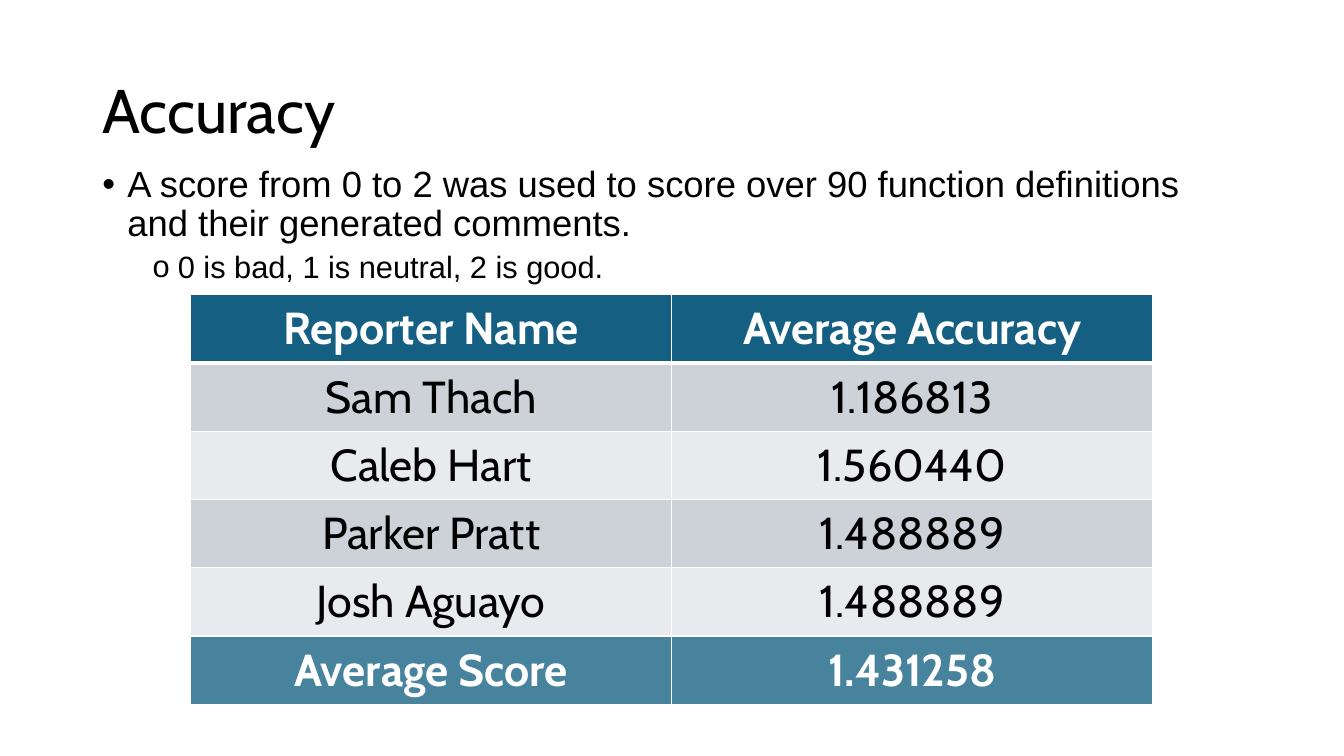
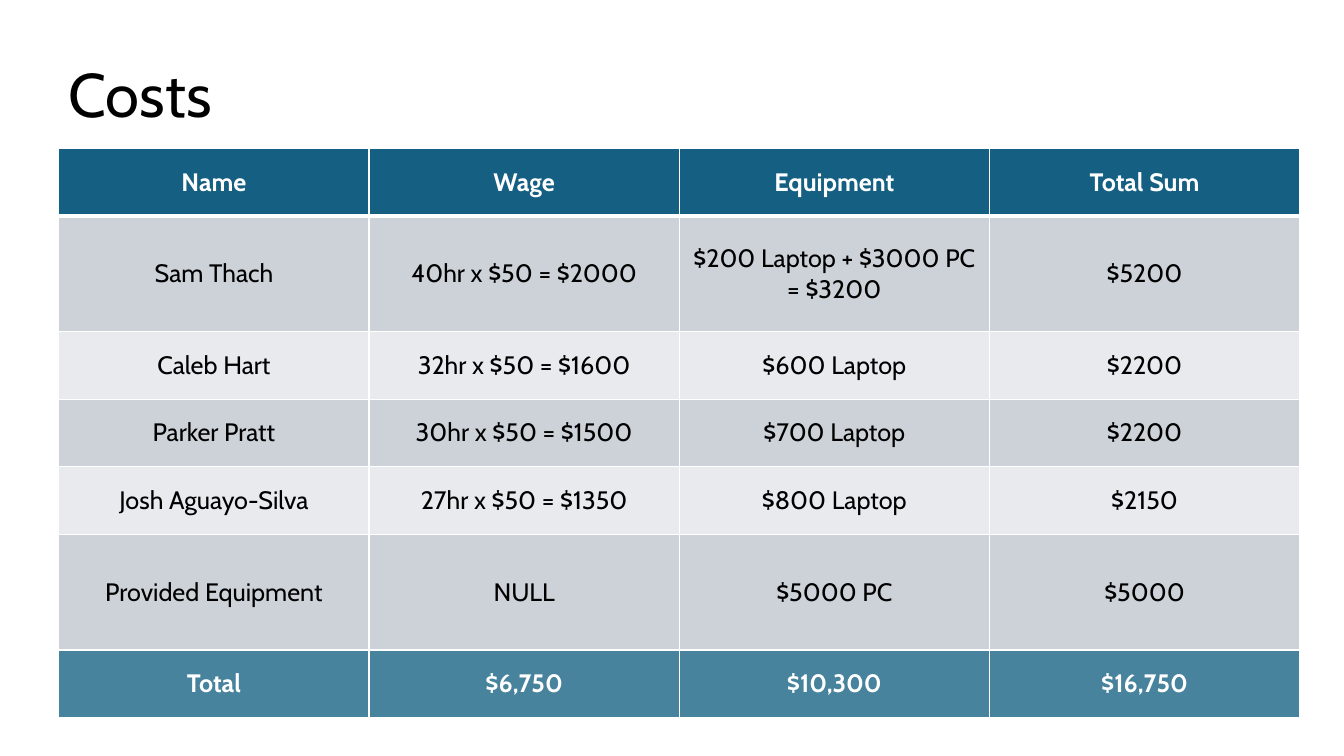
from lxml.etree import SubElement
from pptx import Presentation
from pptx.dml.color import RGBColor
from pptx.enum.text import MSO_ANCHOR, PP_ALIGN
from pptx.oxml.ns import qn
from pptx.util import Pt

# Shared style
BLACK = RGBColor(0x00, 0x00, 0x00)
WHITE = RGBColor(0xFF, 0xFF, 0xFF)
HEADER_BLUE = RGBColor(0x15, 0x60, 0x82)
TOTAL_BLUE = RGBColor(0x48, 0x83, 0x9D)
BANDS = (RGBColor(0xCC, 0xD2, 0xD8), RGBColor(0xE8, 0xEA, 0xED))
HEADING_FONT = "Cabin"
BODY_FONT = "Arial"
TITLE_ONLY = 5

# Content
ACCURACY_POINTS = [
    (0, "A score from 0 to 2 was used to score over 90 function definitions "
        "and their generated comments."),
    (1, "0 is bad, 1 is neutral, 2 is good."),
]
ACCURACY_ROWS = [
    ("Reporter Name", "Average Accuracy"),
    ("Sam Thach", "1.186813"),
    ("Caleb Hart", "1.560440"),
    ("Parker Pratt", "1.488889"),
    ("Josh Aguayo", "1.488889"),
    ("Average Score", "1.431258"),
]
COST_ROWS = [
    ("Name", "Wage", "Equipment", "Total Sum"),
    ("Sam Thach", "40hr x $50 = $2000", "$200 Laptop + $3000 PC = $3200", "$5200"),
    ("Caleb Hart", "32hr x $50 = $1600", "$600 Laptop", "$2200"),
    ("Parker Pratt", "30hr x $50 = $1500", "$700 Laptop", "$2200"),
    ("Josh Aguayo-Silva", "27hr x $50 = $1350", "$800 Laptop", "$2150"),
    ("Provided Equipment", "NULL", "$5000 PC", "$5000"),
    ("Total", "$6,750", "$10,300", "$16,750"),
]


def format_runs(paragraph, font_name, size, color, bold=False):
    for run in paragraph.runs:
        run.font.name = font_name
        run.font.size = Pt(size)
        run.font.bold = bold
        run.font.color.rgb = color


def add_titled_slide(deck, text, left, top):
    slide = deck.slides.add_slide(deck.slide_layouts[TITLE_ONLY])
    title = slide.shapes.title
    title.left, title.top, title.width, title.height = Pt(left), Pt(top), Pt(828), Pt(104.4)
    title.text_frame.text = text
    title.text_frame.vertical_anchor = MSO_ANCHOR.MIDDLE
    heading = title.text_frame.paragraphs[0]
    heading.alignment = PP_ALIGN.LEFT
    heading.line_spacing = 0.9
    format_runs(heading, HEADING_FONT, 44, BLACK)
    return slide


def add_bullets(slide, points, left, top, width, height):
    frame = slide.shapes.add_textbox(Pt(left), Pt(top), Pt(width), Pt(height)).text_frame
    frame.word_wrap = True
    frame.text = "\n".join(text for _, text in points)
    for paragraph, (level, _) in zip(frame.paragraphs, points):
        paragraph.level = level
        paragraph.line_spacing = 0.9
        paragraph.space_before = Pt((10, 5)[level])
        format_runs(paragraph, BODY_FONT, (26, 22)[level], BLACK)
        properties = paragraph._p.get_or_add_pPr()
        properties.set("marL", str(Pt(18 + 36 * level)))
        properties.set("indent", str(Pt(-18)))
        SubElement(properties, qn("a:buFont"), typeface=BODY_FONT)
        SubElement(properties, qn("a:buChar"), char="•o"[level])


def set_borders(cell, widths):
    """Draw white borders; widths maps an edge letter (L, R, T, B) to points."""
    properties = cell._tc.get_or_add_tcPr()
    for edge, width in widths.items():
        line = SubElement(properties, qn(f"a:ln{edge}"), w=str(Pt(width)))
        fill = SubElement(line, qn("a:solidFill"))
        SubElement(fill, qn("a:srgbClr"), val=str(WHITE))


def add_score_table(slide, rows, left, top, width, row_heights, size):
    column_count = len(rows[0])
    table = slide.shapes.add_table(len(rows), column_count, Pt(left), Pt(top),
                                   Pt(width), Pt(sum(row_heights))).table
    table.last_row = True
    for column in table.columns:
        column.width = Pt(width / column_count)
    last = len(rows) - 1
    for r, values in enumerate(rows):
        table.rows[r].height = Pt(row_heights[r])
        emphasized = r in (0, last)
        fill = {0: HEADER_BLUE, last: TOTAL_BLUE}.get(r, BANDS[(r - 1) % 2])
        # The rule under the header is heavier than the rest of the grid
        borders = {"L": 1, "R": 1, "T": 3 if r == 1 else 1, "B": 3 if r == 0 else 1}
        for c, value in enumerate(values):
            cell = table.cell(r, c)
            set_borders(cell, borders)
            cell.fill.solid()
            cell.fill.fore_color.rgb = fill
            cell.vertical_anchor = MSO_ANCHOR.MIDDLE
            cell.text_frame.text = value
            paragraph = cell.text_frame.paragraphs[0]
            paragraph.alignment = PP_ALIGN.CENTER
            format_runs(paragraph, HEADING_FONT, size,
                        WHITE if emphasized else BLACK, emphasized)


def main():
    deck = Presentation()
    deck.slide_width, deck.slide_height = Pt(960), Pt(540)

    # Accuracy
    accuracy = add_titled_slide(deck, "Accuracy", 66, 28.8)
    add_score_table(accuracy, ACCURACY_ROWS, 136.2, 210.4, 687.4,
                    [48.8] * len(ACCURACY_ROWS), 32)
    add_bullets(accuracy, ACCURACY_POINTS, 66, 115.2, 828, 412.6)

    # Costs
    costs = add_titled_slide(deck, "Costs", 42, 17.3)
    regular, tall = 48.2, 82.8
    add_score_table(costs, COST_ROWS, 42, 106, 886.4,
                    [regular, tall, regular, regular, regular, tall, regular], 18)

    deck.save("out.pptx")


if __name__ == "__main__":
    main()
